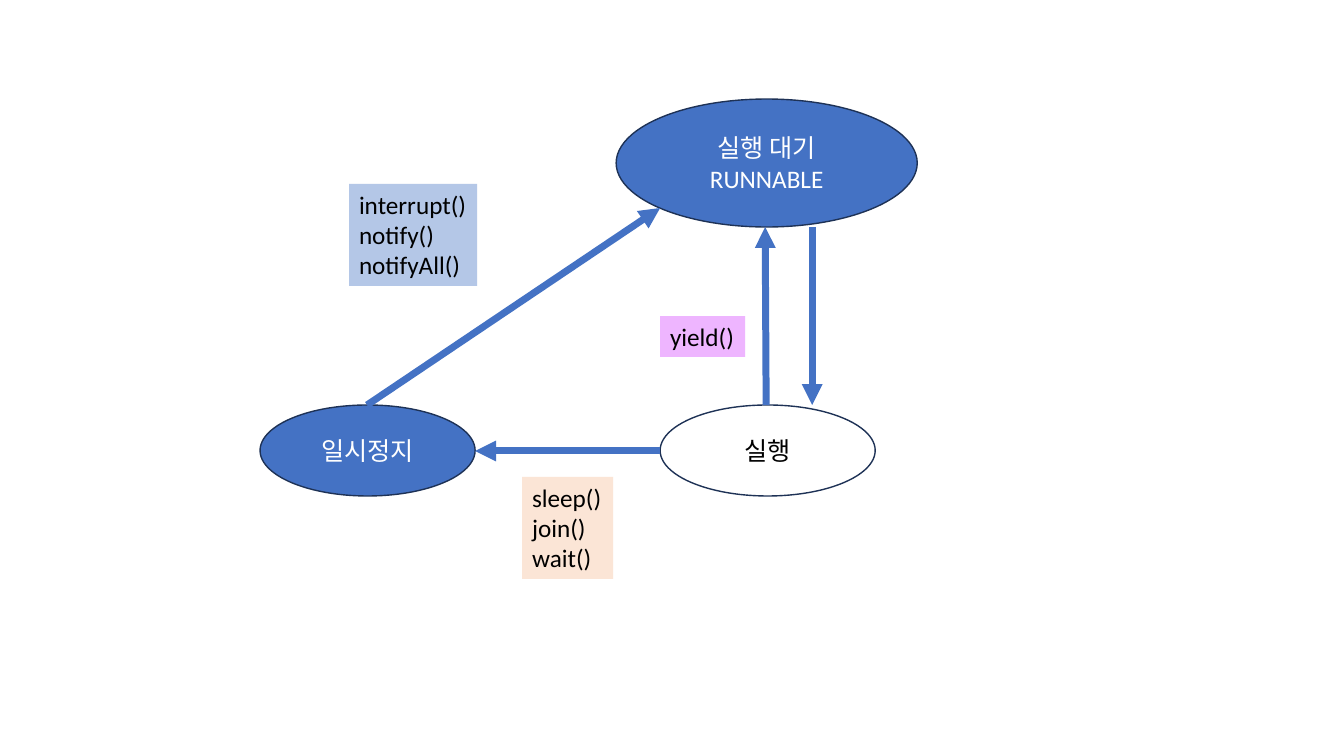
from lxml import etree
from pptx import Presentation
from pptx.dml.color import RGBColor
from pptx.enum.shapes import MSO_CONNECTOR, MSO_SHAPE
from pptx.enum.text import MSO_ANCHOR, MSO_AUTO_SIZE, PP_ALIGN
from pptx.oxml.ns import qn
from pptx.util import Emu, Inches, Pt

ELLIPSE = MSO_SHAPE.OVAL
STRAIGHT = MSO_CONNECTOR.STRAIGHT
MIDDLE = MSO_ANCHOR.MIDDLE
CENTER = PP_ALIGN.CENTER
FIT_SHAPE = MSO_AUTO_SIZE.SHAPE_TO_FIT_TEXT

EMU_PER_PIXEL = 914400 / 100.8
BLUE, OUTLINE = "4472C4", "1E3256"
WHITE, BLACK = "FFFFFF", "000000"


def px(*lengths):
    return [Emu(round(length * EMU_PER_PIXEL)) for length in lengths]


def color(hex_string):
    return RGBColor.from_string(hex_string)


def write_text(text_frame, text, text_color):
    paragraph = text_frame.paragraphs[0]
    paragraph.text = text
    paragraph.font.name = "Calibri"
    paragraph.font.size = Pt(18)
    paragraph.font.color.rgb = color(text_color)
    return paragraph


def add_state(slide, box, text, fill, text_color):
    """Thread state: an outlined ellipse with centred text."""
    shape = slide.shapes.add_shape(ELLIPSE, *px(*box))
    shape.shadow.inherit = False
    if fill:
        shape.fill.solid()
        shape.fill.fore_color.rgb = color(fill)
    else:
        shape.fill.background()
    shape.line.color.rgb = color(OUTLINE)
    shape.line.width = Pt(1)
    shape.text_frame.vertical_anchor = MIDDLE
    write_text(shape.text_frame, text, text_color).alignment = CENTER


def add_transition(slide, start, end):
    """Transition: a thick line with a triangle at its end."""
    connector = slide.shapes.add_connector(STRAIGHT, *px(*start, *end))
    connector.line.color.rgb = color(BLUE)
    connector.line.width = Pt(5)
    line = connector.line._get_or_add_ln()
    etree.SubElement(line, qn("a:tailEnd"), type="triangle")
    etree.SubElement(connector._element.spPr, qn("a:effectLst"))


def add_methods(slide, box, methods, fill):
    """Method names that cause a transition, one a line."""
    shape = slide.shapes.add_textbox(*px(*box))
    shape.fill.solid()
    shape.fill.fore_color.rgb = color(fill)
    shape.text_frame.word_wrap = False
    shape.text_frame.auto_size = FIT_SHAPE
    write_text(shape.text_frame, "\n".join(methods), BLACK)


def main():
    presentation = Presentation()
    presentation.slide_width = Inches(13.33)
    presentation.slide_height = Inches(7.5)
    slide = presentation.slides.add_slide(presentation.slide_layouts[6])

    # Thread states
    add_state(slide, (616, 99, 301, 128), "실행 대기\nRUNNABLE", BLUE, WHITE)
    add_state(slide, (260, 405, 215, 91), "일시정지", BLUE, WHITE)
    add_state(slide, (660, 405, 215, 91), "실행", None, BLACK)

    # Transitions between the states
    add_transition(slide, (367, 405), (660, 208))
    add_transition(slide, (660, 451), (475, 451))
    add_transition(slide, (766, 405), (765, 227))
    add_transition(slide, (812, 227), (812, 405))

    # Methods beside the transitions
    add_methods(slide, (660, 316, 85, 41), ["yield()"], "EEB5FF")
    add_methods(slide, (349, 184, 128, 102),
                ["interrupt()", "notify()", "notifyAll()"], "B4C7E7")
    add_methods(slide, (522, 477, 91, 102),
                ["sleep()", "join()", "wait()"], "FBE5D6")

    presentation.save("out.pptx")


main()
